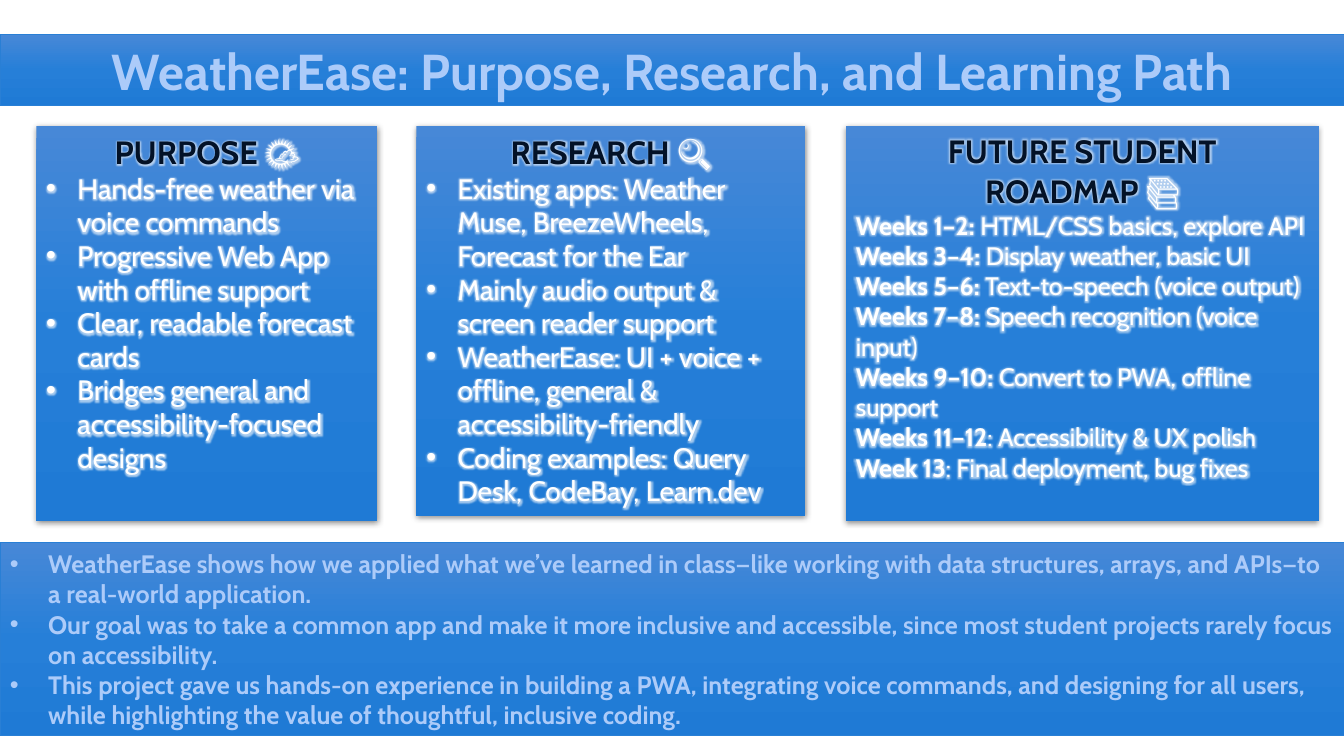
from copy import deepcopy
from dataclasses import dataclass

from lxml import etree
from pptx import Presentation
from pptx.dml.color import RGBColor
from pptx.enum.shapes import MSO_SHAPE
from pptx.enum.text import MSO_ANCHOR, MSO_AUTO_SIZE, PP_ALIGN
from pptx.oxml.ns import qn
from pptx.util import Pt

RECTANGLE = MSO_SHAPE.RECTANGLE
TOP, MIDDLE = MSO_ANCHOR.TOP, MSO_ANCHOR.MIDDLE
GROW, FIXED = MSO_AUTO_SIZE.SHAPE_TO_FIT_TEXT, MSO_AUTO_SIZE.NONE
LEFT, CENTER = PP_ALIGN.LEFT, PP_ALIGN.CENTER
TITLE_ONLY = 5

EMU_PER_PX = 9144  # 100 px to the inch
SLIDE_WIDTH, SLIDE_HEIGHT = 1333, 750
CARD_TOP = 125
FONT = "Cabin"
WHITE, NAVY, PALE, EDGE, BLACK = "FFFFFF", "031227", "ACCBF9", "297FD5", "000000"
GRADIENT = ((0, "4788D7"), (0.5, "267FD8"), (1, "1F7AD5"))


@dataclass
class Card:
    left: int
    width: int
    height: int
    heading: str
    icon: str
    size: int
    bulleted: bool
    lines: list[tuple[str, str]]  # bold lead, plain rest


CARDS = [
    Card(36, 338, 392, "PURPOSE ", "🌤️", 20, True, [
        ("", "Hands-free weather via voice commands"),
        ("", "Progressive Web App with offline support"),
        ("", "Clear, readable forecast cards"),
        ("", "Bridges general and accessibility-focused designs"),
    ]),
    Card(413, 386, 387, "RESEARCH ", "🔍", 20, True, [
        ("", "Existing apps: Weather Muse, BreezeWheels, Forecast for the Ear"),
        ("", "Mainly audio output & screen reader support"),
        ("", "WeatherEase: UI + voice + offline, general & accessibility-friendly"),
        ("", "Coding examples: Query Desk, CodeBay, Learn.dev"),
    ]),
    Card(839, 469, 392, "FUTURE STUDENT ROADMAP ", "📚", 18, False, [
        ("Weeks 1–2: ", "HTML/CSS basics, explore API"),
        ("Weeks 3–4: ", "Display weather, basic UI"),
        ("Weeks 5–6: ", "Text-to-speech (voice output)"),
        ("Weeks 7–8: ", "Speech recognition (voice input)"),
        ("Weeks 9–10: ", "Convert to PWA, offline support"),
        ("Weeks 11–12", ": Accessibility & UX polish"),
        ("Week 13", ": Final deployment, bug fixes"),
    ]),
]

TAKEAWAYS = [
    "WeatherEase shows how we applied what we’ve learned in class—like working with data "
    "structures, arrays, and APIs—to a real-world application.",
    "Our goal was to take a common app and make it more inclusive and accessible, since most "
    "student projects rarely focus on accessibility.",
    "This project gave us hands-on experience in building a PWA, integrating voice commands, "
    "and designing for all users, while highlighting the value of thoughtful, inclusive coding.",
]


def px(length: int) -> int:
    return length * EMU_PER_PX


def rgb(color: str) -> RGBColor:
    return RGBColor.from_string(color)


def add_effect(effects, tag: str, color: str, alpha: int, **attributes) -> None:
    """Put a glow or shadow in an effect list; alpha is in percent."""
    effect = etree.SubElement(effects, qn(tag), {k: str(v) for k, v in attributes.items()})
    tint = etree.SubElement(effect, qn("a:srgbClr"), val=color)
    etree.SubElement(tint, qn("a:alpha"), val=str(alpha * 1000))


def style_panel(shape, left: int, top: int, width: int, height: int, *,
                anchor=TOP, fit=GROW, edge: str = "", shadow: bool = False) -> None:
    """Place a panel and give it the blue gradient."""
    shape.left, shape.top, shape.width, shape.height = map(px, (left, top, width, height))
    shape.fill.gradient()
    stops = shape.element.spPr.find(".//" + qn("a:gsLst"))
    stops.insert(1, deepcopy(stops[0]))
    for stop, (position, color) in zip(shape.fill.gradient_stops, GRADIENT):
        stop.position = position
        stop.color.rgb = rgb(color)
    shape.fill.gradient_angle = 270
    if edge:
        shape.line.color.rgb = rgb(edge)
        shape.line.width = Pt(0.5)
    else:
        shape.line.fill.background()
    shape.shadow.inherit = False
    if shadow:
        add_effect(shape.element.spPr.find(qn("a:effectLst")), "a:outerShdw", BLACK, 45,
                   blurRad=Pt(4.4), dist=Pt(1.2), dir=5400000, rotWithShape=0)
    frame = shape.text_frame
    frame.word_wrap = True
    frame.vertical_anchor = anchor
    frame.auto_size = fit


def add_text(paragraph, text: str, *, size: int, color: str,
             bold: bool = False, glow: bool = False) -> None:
    run = paragraph.add_run()
    run.text = text
    run.font.size = Pt(size)
    run.font.bold = bold
    run.font.color.rgb = rgb(color)
    run.font.name = FONT
    if glow:  # belongs right after the text fill
        effects = etree.Element(qn("a:effectLst"))
        add_effect(effects, "a:glow", WHITE, 60, rad=Pt(5))
        run._r.rPr.find(qn("a:solidFill")).addnext(effects)


def next_paragraph(frame, *, align=LEFT, bullet_indent: int = 0):
    """Use the empty first paragraph, then add new ones."""
    first = frame.paragraphs[0]
    paragraph = frame.add_paragraph() if first.runs else first
    paragraph.alignment = align
    if bullet_indent:
        properties = paragraph._p.get_or_add_pPr()
        properties.set("marL", str(px(bullet_indent)))
        properties.set("indent", str(-px(bullet_indent)))
        etree.SubElement(properties, qn("a:buFont"), typeface="Arial")
        etree.SubElement(properties, qn("a:buChar"), char="•")
    return paragraph


def draw_card(slide, card: Card) -> None:
    panel = slide.shapes.add_shape(RECTANGLE, 0, 0, 0, 0)
    style_panel(panel, card.left, CARD_TOP, card.width, card.height, shadow=True)
    heading = next_paragraph(panel.text_frame, align=CENTER)
    add_text(heading, card.heading, size=23, color=NAVY, bold=True, glow=True)
    add_text(heading, card.icon, size=24, color=WHITE, glow=True)
    for lead, rest in card.lines:
        line = next_paragraph(panel.text_frame, bullet_indent=31 if card.bulleted else 0)
        if lead:
            add_text(line, lead, size=card.size, color=WHITE, bold=True, glow=True)
        add_text(line, rest, size=card.size, color=WHITE, glow=True)


def main() -> None:
    deck = Presentation()
    deck.slide_width, deck.slide_height = px(SLIDE_WIDTH), px(SLIDE_HEIGHT)
    slide = deck.slides.add_slide(deck.slide_layouts[TITLE_ONLY])

    # Title banner
    title = slide.shapes.title
    style_panel(title, 0, 34, SLIDE_WIDTH, 71, anchor=MIDDLE, fit=FIXED, edge=EDGE)
    add_text(next_paragraph(title.text_frame, align=CENTER),
             "WeatherEase: Purpose, Research, and Learning Path",
             size=36, color=PALE, bold=True)

    # Three cards
    for card in CARDS:
        draw_card(slide, card)

    # Takeaway banner
    banner = slide.shapes.add_shape(RECTANGLE, 0, 0, 0, 0)
    style_panel(banner, 0, 538, SLIDE_WIDTH, 192, anchor=MIDDLE, edge=EDGE)
    for takeaway in TAKEAWAYS:
        add_text(next_paragraph(banner.text_frame, bullet_indent=38), takeaway,
                 size=18, color=PALE, bold=True)

    deck.save("out.pptx")


if __name__ == "__main__":
    main()
